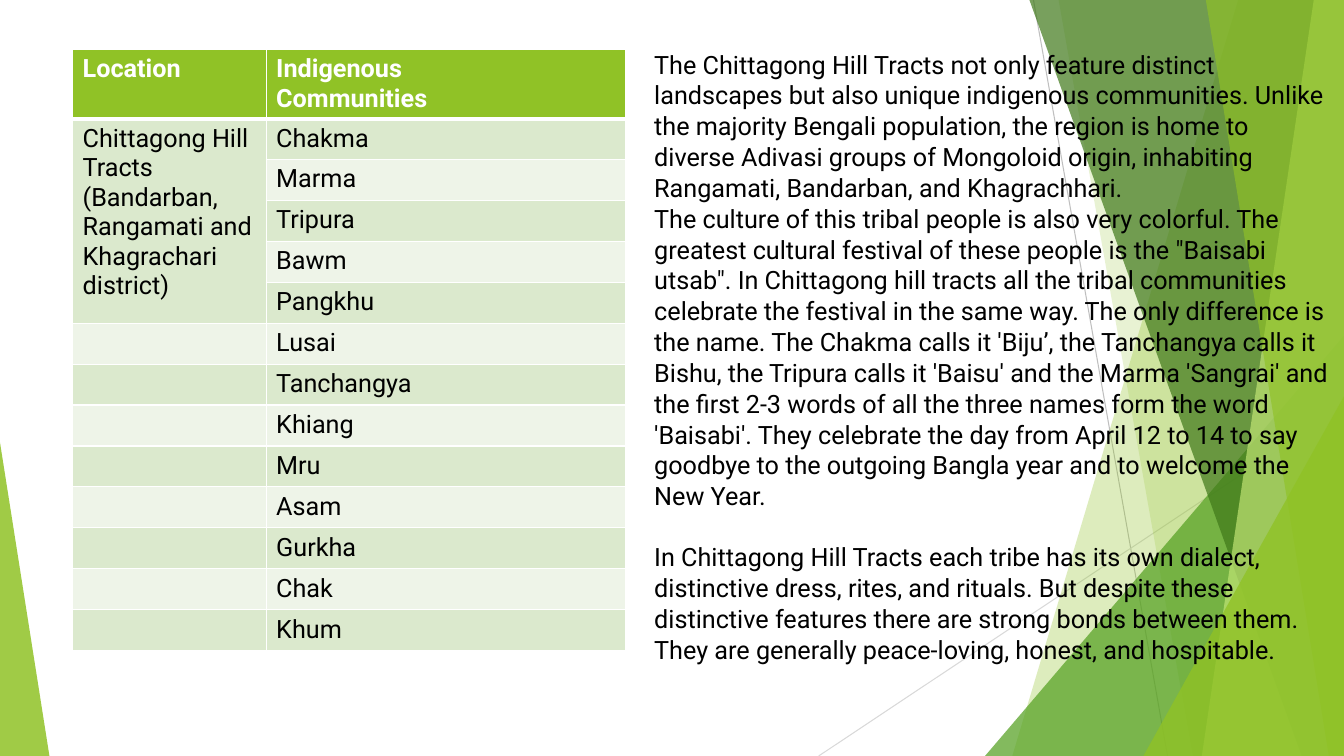
import dataclasses

import lxml.etree
import pptx
import pptx.dml.color
import pptx.enum.shapes
import pptx.oxml
import pptx.oxml.ns
import pptx.util

Inches = pptx.util.Inches
Pt = pptx.util.Pt
qn = pptx.oxml.ns.qn


@dataclasses.dataclass(frozen=True)
class Theme:
    font: str = "Roboto"
    size: int = 18
    line_spacing: float = 1.02
    blank_line: float = 21.6
    text: str = "000000"
    white: str = "FFFFFF"
    green: str = "90C226"
    leaf: str = "54A021"
    forest: str = "3F7819"
    lime: str = "C0E474"
    bands: tuple = ("DBE9CD", "EEF4E8")
    line: str = "BFBFBF"
    pale_line: str = "D9D9D9"


def rgb(value):
    return pptx.dml.color.RGBColor.from_string(value)


class SlideBuilder:
    def __init__(self, slide, theme):
        self.slide = slide
        self.theme = theme

    def line(self, start, end, color):
        connector = self.slide.shapes.add_connector(
            pptx.enum.shapes.MSO_CONNECTOR.STRAIGHT,
            *(Inches(value) for value in start + end))
        connector.line.color.rgb = rgb(color)
        connector.line.width = Pt(0.75)
        lxml.etree.SubElement(connector._element.spPr, qn("a:effectLst"))

    def polygon(self, points, color, opacity):
        """Draw a filled outline; opacity is in percent."""
        first, *rest = [(Inches(x), Inches(y)) for x, y in points]
        builder = self.slide.shapes.build_freeform(*first, scale=1.0)
        builder.add_line_segments(rest, close=True)
        shape = builder.convert_to_shape()
        shape.shadow.inherit = False
        shape.line.fill.background()
        shape.fill.solid()
        shape.fill.fore_color.rgb = rgb(color)
        color_element = shape._element.spPr.find(".//" + qn("a:srgbClr"))
        alpha = lxml.etree.SubElement(color_element, qn("a:alpha"))
        alpha.set("val", str(opacity * 1000))

    def fill_text(self, frame, paragraphs, color, bold=False):
        frame.text = "\n".join(paragraphs)
        for paragraph in frame.paragraphs:
            paragraph.font.name = self.theme.font
            paragraph.font.size = Pt(self.theme.size)
            paragraph.font.bold = bold
            paragraph.font.color.rgb = rgb(color)

    def text(self, left, top, width, height, paragraphs):
        frame = self.slide.shapes.add_textbox(
            Inches(left), Inches(top), Inches(width), Inches(height)).text_frame
        frame.word_wrap = True
        self.fill_text(frame, paragraphs, self.theme.text)
        for paragraph in frame.paragraphs:
            paragraph.line_spacing = self.theme.line_spacing
        return frame

    def cell_borders(self, cell, bottom):
        properties = cell._tc.get_or_add_tcPr()
        widths = {"lnL": 1, "lnR": 1, "lnT": 1, "lnB": bottom}
        for position, (tag, width) in enumerate(widths.items()):
            border = pptx.oxml.parse_xml(
                f'<a:{tag} {pptx.oxml.ns.nsdecls("a")} w="{Pt(width)}"><a:solidFill>'
                f'<a:srgbClr val="{self.theme.white}"/></a:solidFill></a:{tag}>')
            properties.insert(position, border)

    def table(self, left, top, widths, header_height, height, rows, merged_rows):
        """Add a table whose first column joins the first merged_rows body rows."""
        table = self.slide.shapes.add_table(
            len(rows), len(widths), Inches(left), Inches(top),
            Inches(sum(widths)), Inches(height)).table
        for column, width in zip(table.columns, widths):
            column.width = Inches(width)
        body_height = Inches((height - header_height) / (len(rows) - 1))
        for row_number, row in enumerate(rows):
            header = row_number == 0
            table.rows[row_number].height = (
                Inches(header_height) if header else body_height)
            fill = self.theme.green if header else self.theme.bands[(row_number - 1) % 2]
            color = self.theme.white if header else self.theme.text
            for column_number, paragraphs in enumerate(row):
                cell = table.cell(row_number, column_number)
                self.fill_text(cell.text_frame, paragraphs, color, bold=header)
                cell.fill.solid()
                cell.fill.fore_color.rgb = rgb(fill)
                self.cell_borders(cell, bottom=3 if header else 1)
        table.cell(1, 0).merge(table.cell(merged_rows, 0))


WIDTH, HEIGHT = 13.33, 7.5
COMMUNITIES = ["Chakma", "Marma", "Tripura", "Bawm", "Pangkhu", "Lusai", "Tanchangya",
               "Khiang", "Mru", "Asam", "Gurkha", "Chak", "Khum"]
LOCATION = ["Chittagong Hill Tracts", "(Bandarban, Rangamati and", "Khagrachari district)"]
STORY = [
    "The Chittagong Hill Tracts not only feature distinct landscapes but also unique "
    "indigenous communities. Unlike the majority Bengali population, the region is home to "
    "diverse Adivasi groups of Mongoloid origin, inhabiting Rangamati, Bandarban, and "
    "Khagrachhari.",
    "The culture of this tribal people is also very colorful. The greatest cultural festival "
    "of these people is the \"Baisabi utsab\". In Chittagong hill tracts all the tribal "
    "communities celebrate the festival in the same way. The only difference is the name. "
    "The Chakma calls it 'Biju’, the Tanchangya calls it Bishu, the Tripura calls it 'Baisu' "
    "and the Marma 'Sangrai' and the first 2-3 words of all the three names form the word "
    "'Baisabi'. They celebrate the day from April 12 to 14 to say goodbye to the outgoing "
    "Bangla year and to welcome the New Year.",
    "In Chittagong Hill Tracts each tribe has its own dialect, distinctive dress, rites, and "
    "rituals. But despite these distinctive features there are strong bonds between them. "
    "They are generally peace-loving, honest, and hospitable.",
]


def draw_background(builder):
    theme = builder.theme
    builder.line((10.25, 0), (11.58, HEIGHT), theme.line)
    builder.line((WIDTH, 4.03), (8.12, HEIGHT), theme.pale_line)
    # Each facet reaches the right edge: top of that edge, left end at top, left end at bottom.
    facets = [
        (0, 12.28, 10.04, theme.green, 30),
        (0, 10.5, 11.83, theme.green, 20),
        (3.33, WIDTH, 9.77, theme.leaf, 72),
        (0, 10.21, 12.91, theme.forest, 70),
        (0, 13.03, 11.92, theme.lime, 70),
        (0, 11.96, 13.18, theme.green, 65),
        (3.93, WIDTH, 11.34, theme.green, 80),
    ]
    for top, top_left, bottom_left, color, opacity in facets:
        corners = [(top_left, top), (WIDTH, top), (WIDTH, HEIGHT), (bottom_left, HEIGHT)]
        builder.polygon(list(dict.fromkeys(corners)), color, opacity)
    builder.polygon([(0, 4.39), (0.49, HEIGHT), (0, HEIGHT)], theme.green, 85)


def main():
    presentation = pptx.Presentation()
    presentation.slide_width = Inches(WIDTH)
    presentation.slide_height = Inches(HEIGHT)
    blank_layout = presentation.slide_layouts[6]
    builder = SlideBuilder(presentation.slides.add_slide(blank_layout), Theme())

    draw_background(builder)
    rows = [(["Location"], ["Indigenous", "Communities"])]
    rows += [(LOCATION if number == 0 else [], [name])
             for number, name in enumerate(COMMUNITIES)]
    builder.table(0.72, 0.49, (1.92, 3.57), 0.67, 5.95, rows, merged_rows=5)
    story = builder.text(6.39, 0.43, 6.95, 6.46, STORY)
    story.paragraphs[-1].space_before = Pt(builder.theme.blank_line)

    presentation.save("out.pptx")


if __name__ == "__main__":
    main()
